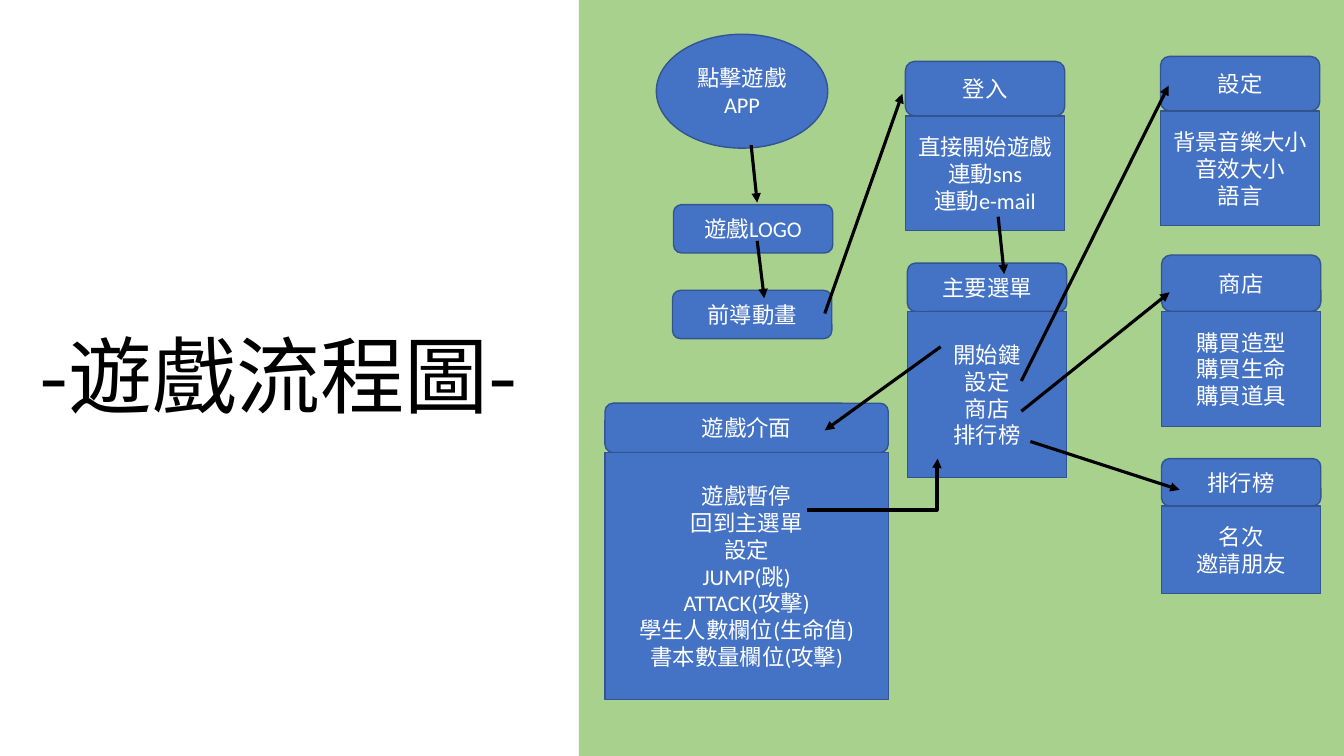
from dataclasses import dataclass

from lxml import etree
from pptx import Presentation
from pptx.dml.color import RGBColor
from pptx.enum import shapes, text
from pptx.oxml.ns import qn
from pptx.util import Inches, Pt


@dataclass(frozen=True)
class Theme:
    panel: RGBColor = RGBColor.from_string("A9D18E")
    box: RGBColor = RGBColor.from_string("4472C4")
    edge: RGBColor = RGBColor.from_string("325491")
    light: RGBColor = RGBColor.from_string("FFFFFF")
    dark: RGBColor = RGBColor.from_string("000000")
    title_font: str = "Noto Sans CJK SC"
    box_font: str = "Calibri"
    title_size: int = 60
    box_size: int = 16
    edge_width: float = 1
    arrow_width: float = 2.25


THEME = Theme()
SHAPE = shapes.MSO_SHAPE
LINE = shapes.MSO_CONNECTOR

TITLE = "-遊戲流程圖-"

# shape, left, top, width, height, label
STEPS = [
    (SHAPE.OVAL, 6.51, 0.34, 1.7, 1.13, "點擊遊戲APP"),
    (SHAPE.ROUNDED_RECTANGLE, 6.68, 2.03, 1.58, 0.48, "遊戲LOGO"),
    (SHAPE.ROUNDED_RECTANGLE, 6.67, 2.88, 1.58, 0.48, "前導動畫"),
]

# left, top, width, head height, body height, heading, items
SCREENS = [
    (8.98, 0.61, 1.58, 0.54, 1.14, "登入",
     ["直接開始遊戲", "連動sns", "連動e-mail"]),
    (9, 2.61, 1.58, 0.48, 1.65, "主要選單",
     ["開始鍵", "設定", "商店", "排行榜"]),
    (11.51, 0.56, 1.58, 0.54, 1.14, "設定",
     ["背景音樂大小", "音效大小", "語言"]),
    (11.52, 2.53, 1.58, 0.56, 1.14, "商店",
     ["購買造型", "購買生命", "購買道具"]),
    (11.52, 4.55, 1.58, 0.47, 0.87, "排行榜",
     ["名次", "邀請朋友"]),
    (6, 4, 2.81, 0.49, 2.45, "遊戲介面",
     ["遊戲暫停", "回到主選單", "設定", "JUMP(跳)", "ATTACK(攻擊)",
      "學生人數欄位(生命值)", "書本數量欄位(攻擊)"]),
]

# from x, from y, to x, to y
ARROWS = [
    (7.45, 1.44, 7.51, 2.01),
    (7.51, 2.39, 7.58, 2.96),
    (8.18, 3.11, 8.95, 0.93),
    (9.9, 2.15, 9.96, 2.72),
    (10.13, 3.78, 11.59, 0.85),
    (10.13, 4.08, 11.6, 2.9),
    (10.22, 4.38, 11.7, 4.86),
    (9.33, 3.44, 8.18, 4.27),
]
BACK_TO_MENU = (8, 5.06, 9.3, 4.55)
BACK_BEND = 99500  # thousandths of a percent of the width


def add_title(s):
    sp = s.shapes.title
    sp.left, sp.top, sp.width, sp.height = map(Inches, (0.29, 3.15, 6.93, 1.11))
    tf = sp.text_frame
    tf.text = TITLE
    tf.word_wrap = True
    tf.vertical_anchor = text.MSO_ANCHOR.MIDDLE
    p = tf.paragraphs[0]
    p.alignment = text.PP_ALIGN.LEFT
    r = p.runs[0]
    r.font.size = Pt(THEME.title_size)
    r.font.name = THEME.title_font
    r.font.color.rgb = THEME.dark
    east_asian = etree.SubElement(r.font._element, qn("a:ea"))
    east_asian.set("typeface", THEME.title_font)


def add_panel(s):
    sp = s.shapes.add_shape(SHAPE.RECTANGLE, *map(Inches, (5.74, 0, 7.59, 7.5)))
    sp.shadow.inherit = False
    sp.fill.solid()
    sp.fill.fore_color.rgb = THEME.panel
    sp.line.fill.background()


def add_box(s, kind, left, top, width, height, lines):
    sp = s.shapes.add_shape(kind, *map(Inches, (left, top, width, height)))
    sp.shadow.inherit = False
    sp.fill.solid()
    sp.fill.fore_color.rgb = THEME.box
    sp.line.color.rgb = THEME.edge
    sp.line.width = Pt(THEME.edge_width)
    tf = sp.text_frame
    tf.word_wrap = True
    tf.vertical_anchor = text.MSO_ANCHOR.MIDDLE
    tf.text = "\n".join(lines)
    for p in tf.paragraphs:
        p.alignment = text.PP_ALIGN.CENTER
        p.font.size = Pt(THEME.box_size)
        p.font.name = THEME.box_font
        p.font.color.rgb = THEME.light


def add_screen(s, left, top, width, head, body, heading, items):
    add_box(s, SHAPE.ROUNDED_RECTANGLE, left, top, width, head, [heading])
    add_box(s, SHAPE.RECTANGLE, left, top + head, width, body, items)


def add_arrow(s, kind, ends):
    cx = s.shapes.add_connector(kind, *map(Inches, ends))
    cx.line.color.rgb = THEME.dark
    cx.line.width = Pt(THEME.arrow_width)
    etree.SubElement(cx.line._get_or_add_ln(), qn("a:tailEnd"), type="triangle")
    etree.SubElement(cx._element.spPr, qn("a:effectLst"))
    return cx


def main():
    prs = Presentation()
    prs.slide_width, prs.slide_height = Inches(13.33), Inches(7.5)
    s = prs.slides.add_slide(prs.slide_layouts[5])
    add_title(s)
    add_panel(s)
    for kind, left, top, width, height, label in STEPS:
        add_box(s, kind, left, top, width, height, [label])
    for screen in SCREENS:
        add_screen(s, *screen)
    for ends in ARROWS:
        add_arrow(s, LINE.STRAIGHT, ends)
    back = add_arrow(s, LINE.ELBOW, BACK_TO_MENU)
    guides = back._element.spPr.find(qn("a:prstGeom")).find(qn("a:avLst"))
    etree.SubElement(guides, qn("a:gd"), name="adj1", fmla=f"val {BACK_BEND}")
    prs.save("out.pptx")


if __name__ == "__main__":
    main()
